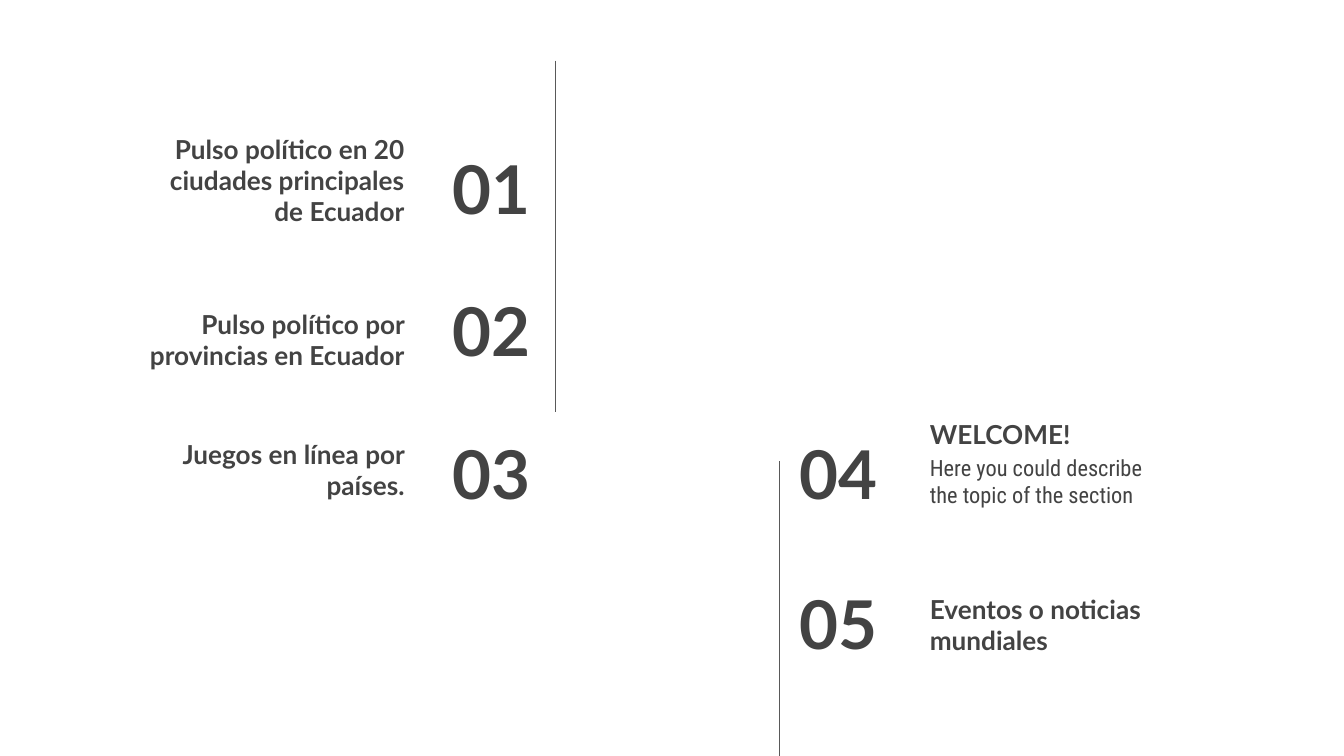
from dataclasses import dataclass

from lxml import etree
from pptx import Presentation
from pptx.dml.color import RGBColor
from pptx.enum.shapes import MSO_CONNECTOR
from pptx.enum.text import MSO_ANCHOR, MSO_AUTO_SIZE, PP_ALIGN
from pptx.oxml.ns import qn
from pptx.shapes.autoshape import Shape
from pptx.slide import Slide
from pptx.util import Pt

LEFT, RIGHT = PP_ALIGN.LEFT, PP_ALIGN.RIGHT
TOP, MIDDLE, BOTTOM = MSO_ANCHOR.TOP, MSO_ANCHOR.MIDDLE, MSO_ANCHOR.BOTTOM
NO_FIT = MSO_AUTO_SIZE.NONE
STRAIGHT = MSO_CONNECTOR.STRAIGHT

INK = RGBColor(0x43, 0x43, 0x43)
RULE = RGBColor(0x59, 0x59, 0x59)
WHITE = RGBColor(0xFF, 0xFF, 0xFF)

HEADING_FONT = "Lato"
BODY_FONT = "Roboto Condensed"
SLIDE_WIDTH, SLIDE_HEIGHT = 720, 405
INSET = 7.2
ROW_HEIGHT = 45.36
HEADING_WIDTH = 155.5


@dataclass(frozen=True)
class Style:
    font: str
    size: float
    bold: bool
    anchor: MSO_ANCHOR


@dataclass(frozen=True)
class Column:
    number_left: float
    number_width: float
    heading_left: float
    align: PP_ALIGN


@dataclass(frozen=True)
class Section:
    number: str
    number_top: float
    heading: str
    heading_top: float
    heading_height: float
    column: Column


@dataclass(frozen=True)
class Divider:
    x: float
    top: float
    bottom: float


NUMBER = Style(HEADING_FONT, 36, True, MIDDLE)
HEADING = Style(HEADING_FONT, 14, True, BOTTOM)
BODY = Style(BODY_FONT, 12, False, TOP)

LEFT_COLUMN = Column(204, 87.12, 68.4, RIGHT)
RIGHT_COLUMN = Column(421.2, 84.24, 491.04, LEFT)

SECTIONS = (
    Section("01", 77.76, "Pulso político en 20 ciudades principales de Ecuador",
            56.16, 72.72, LEFT_COLUMN),
    Section("02", 154.08, "Pulso político por provincias en Ecuador",
            146.16, 59.76, LEFT_COLUMN),
    Section("03", 230.4, "Juegos en línea por países.",
            230.4, ROW_HEIGHT, LEFT_COLUMN),
    Section("04", 230.4, "WELCOME!", 203.04, ROW_HEIGHT, RIGHT_COLUMN),
    Section("05", 311.04, "Eventos o noticias mundiales",
            313.2, ROW_HEIGHT, RIGHT_COLUMN),
)
DIVIDERS = (Divider(297.5, 32.5, 221), Divider(417.6, 247, SLIDE_HEIGHT))


def place_text(holder: Shape, left: float, top: float, width: float,
               height: float, text: str, style: Style, align: PP_ALIGN) -> None:
    holder.left, holder.top = Pt(left), Pt(top)
    holder.width, holder.height = Pt(width), Pt(height)
    frame = holder.text_frame
    frame.word_wrap = True
    frame.auto_size = NO_FIT
    frame.vertical_anchor = style.anchor
    frame.margin_left = frame.margin_right = Pt(INSET)
    frame.margin_top = frame.margin_bottom = Pt(INSET)
    paragraph = frame.paragraphs[0]
    paragraph.alignment = align
    paragraph.line_spacing = 1.0
    run = paragraph.add_run()
    run.text = text
    run.font.name = style.font
    run.font.size = Pt(style.size)
    run.font.bold = style.bold
    run.font.color.rgb = INK


def new_text_box(slide: Slide) -> Shape:
    return slide.shapes.add_textbox(Pt(0), Pt(0), Pt(0), Pt(0))


def draw_section(slide: Slide, section: Section, heading_holder: Shape) -> None:
    column = section.column
    place_text(heading_holder, column.heading_left, section.heading_top,
               HEADING_WIDTH, section.heading_height, section.heading,
               HEADING, column.align)
    place_text(new_text_box(slide), column.number_left, section.number_top,
               column.number_width, ROW_HEIGHT, section.number, NUMBER,
               column.align)


def draw_divider(slide: Slide, divider: Divider) -> None:
    rule = slide.shapes.add_connector(STRAIGHT, Pt(divider.x), Pt(divider.top),
                                      Pt(divider.x), Pt(divider.bottom))
    rule.line.color.rgb = RULE
    rule.line.width = Pt(0.75)
    etree.SubElement(rule._element.spPr, qn("a:effectLst"))


def main() -> None:
    deck = Presentation()
    deck.slide_width, deck.slide_height = Pt(SLIDE_WIDTH), Pt(SLIDE_HEIGHT)
    slide = deck.slides.add_slide(deck.slide_layouts[5])
    slide.background.fill.solid()
    slide.background.fill.fore_color.rgb = WHITE

    first, *others = SECTIONS
    draw_section(slide, first, slide.shapes.title)
    for section in others:
        draw_section(slide, section, new_text_box(slide))
    place_text(new_text_box(slide), RIGHT_COLUMN.heading_left, 236.16, 131.76,
               ROW_HEIGHT, "Here you could describe the topic of the section",
               BODY, LEFT)
    for divider in DIVIDERS:
        draw_divider(slide, divider)
    deck.save("out.pptx")


if __name__ == "__main__":
    main()
